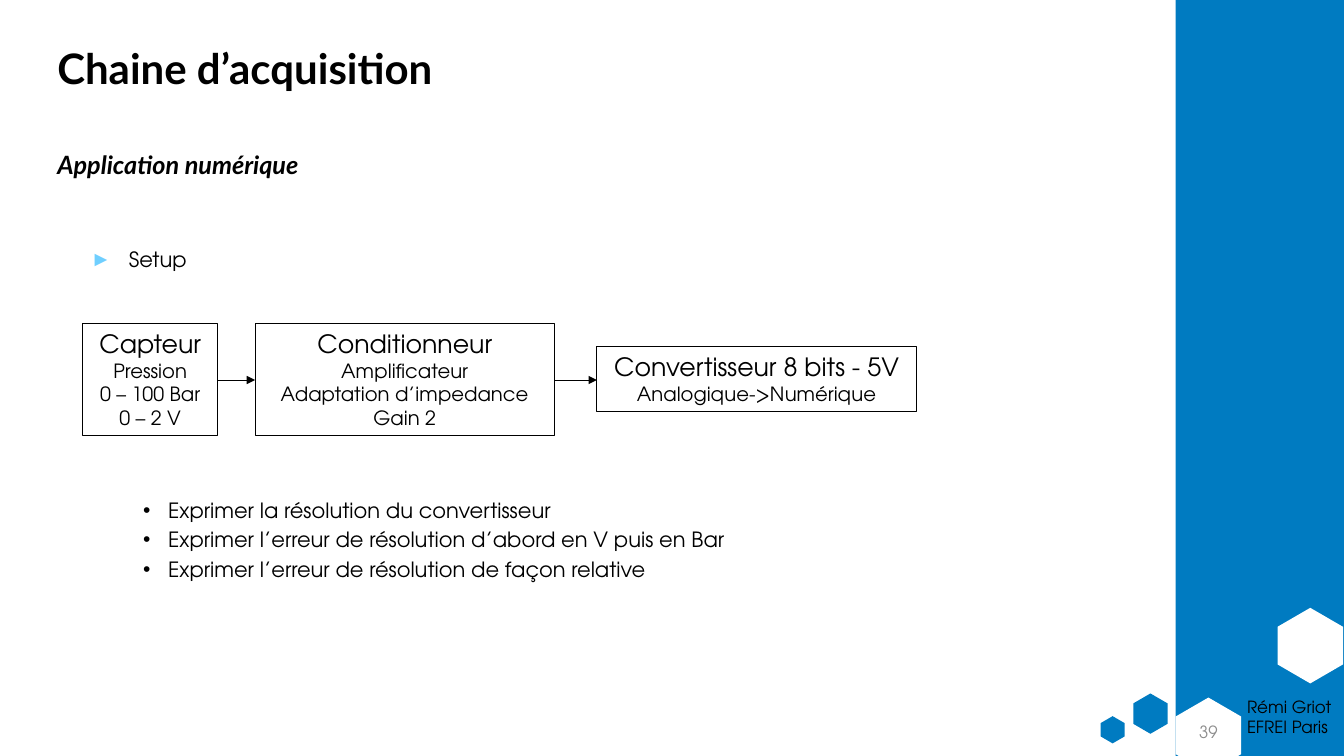
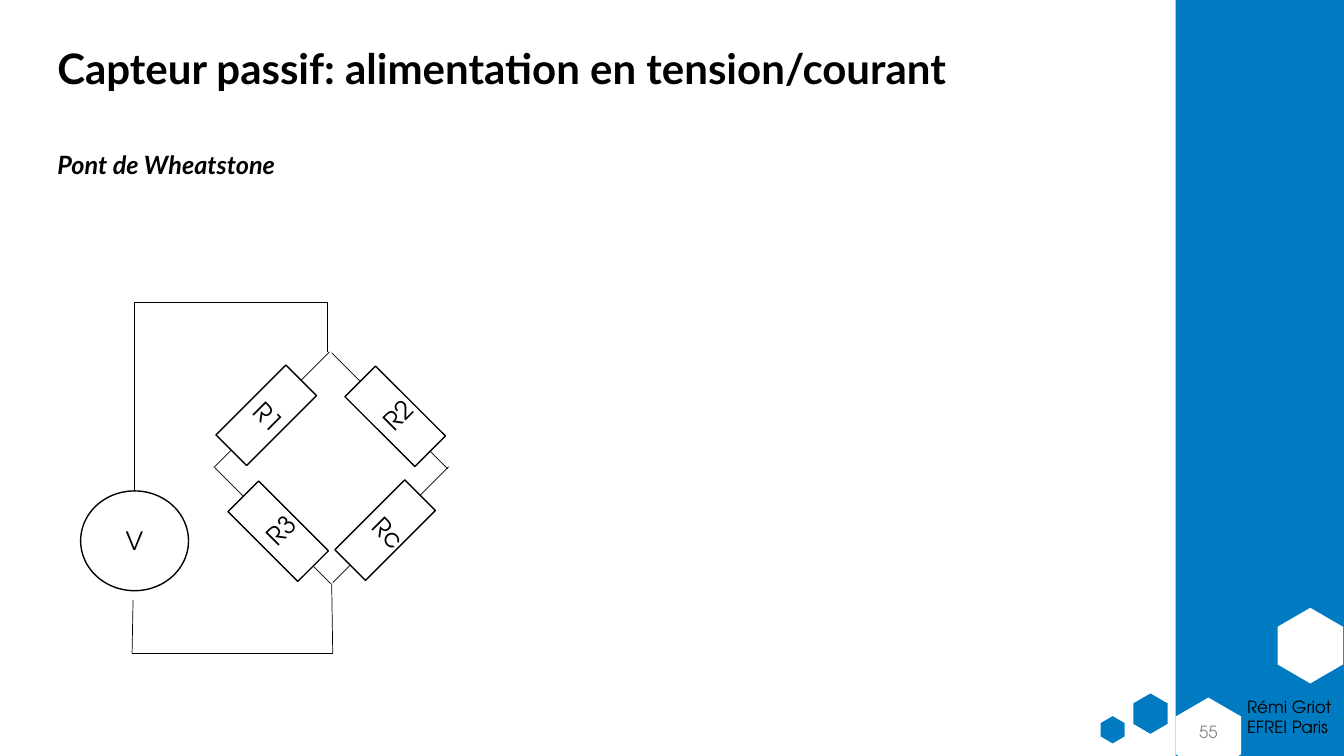
import lxml.etree
import pptx
import pptx.dml.color
import pptx.enum.shapes
import pptx.enum.text
import pptx.oxml.ns
import pptx.util

Inches = pptx.util.Inches
SHAPE = pptx.enum.shapes.MSO_SHAPE
ALIGN = pptx.enum.text.PP_ALIGN
ANCHOR = pptx.enum.text.MSO_ANCHOR
qn = pptx.oxml.ns.qn

BLUE, SKY, WHITE, BLACK, GREY = "007BC1", "6FCFFF", "FFFFFF", "000000", "8C8C8C"
HEADING, BODY = "Lato", "TeX Gyre Adventor"
HEXAGONS = [
    (12.62, 6.08, 0.75, 0.65, WHITE),
    (11.21, 6.91, 0.4, 0.34, BLUE),
    (10.9, 7.12, 0.27, 0.24, BLUE),
    (11.61, 6.97, 0.75, 0.65, WHITE),
]


def rgb(code):
    return pptx.dml.color.RGBColor.from_string(code)


class Deck:
    """Course slides sharing a blue side band, a title and a subtitle style."""

    def __init__(self):
        self.presentation = pptx.Presentation()
        self.presentation.slide_width = Inches(13.33)
        self.presentation.slide_height = Inches(7.5)
        self.slide = None

    def new_slide(self, title, subtitle, number):
        self.slide = self.presentation.slides.add_slide(self.presentation.slide_layouts[6])
        self.shape(SHAPE.RECTANGLE, (11.66, 0, 1.67, 7.5), fill=BLUE)
        for *place, colour in HEXAGONS:
            hexagon = self.shape(SHAPE.HEXAGON, place, fill=colour, rotation=90)
            hexagon.adjustments[0] = 0.29
        self.text((12.27, 6.86, 1.1, 0.5), ["Rémi Griot", "EFREI Paris"], 12)
        self.text((0.47, 0, 10.82, 1.41), [title], 30, anchor=ANCHOR.MIDDLE,
                  spacing={"line_spacing": 0.9}, name=HEADING, bold=True)
        self.text((11.66, 7.06, 0.65, 0.4), [number], 12, GREY, ANCHOR.MIDDLE,
                  {"alignment": ALIGN.CENTER})
        self.text((0.47, 1.47, 8.77, 0.4), [subtitle], 18,
                  spacing={"line_spacing": 0.9}, name=HEADING, bold=True, italic=True)

    def shape(self, preset, place, fill=None, line=None, width=1, rotation=0):
        shape = self.slide.shapes.add_shape(preset, *map(Inches, place))
        shape.shadow.inherit = False
        shape.rotation = rotation
        if fill:
            shape.fill.solid()
            shape.fill.fore_color.rgb = rgb(fill)
        else:
            shape.fill.background()
        if line:
            shape.line.color.rgb = rgb(line)
            shape.line.width = pptx.util.Pt(width)
        else:
            shape.line.fill.background()
        return shape

    def paragraph(self, frame, line, size, colour=BLACK, spacing=None, first=False, **style):
        paragraph = frame.paragraphs[0] if first else frame.add_paragraph()
        for key, value in (spacing or {}).items():
            setattr(paragraph, key, value)
        run = paragraph.add_run()
        run.text = line
        for key, value in {"name": BODY, "size": pptx.util.Pt(size), **style}.items():
            setattr(run.font, key, value)
        run.font.color.rgb = rgb(colour)
        return paragraph

    def text(self, place, lines, size, colour=BLACK, anchor=ANCHOR.TOP,
             spacing=None, rotation=0, **style):
        box = self.slide.shapes.add_textbox(*map(Inches, place))
        box.rotation = rotation
        frame = box.text_frame
        frame.word_wrap = True
        frame.vertical_anchor = anchor
        return [self.paragraph(frame, line, size, colour, spacing, index == 0, **style)
                for index, line in enumerate(lines)]

    def bullets(self, place, lines, mark, mark_colour, margin, hanging):
        paragraphs = self.text(place, lines, 15, spacing={"line_spacing": 0.9})
        for index, paragraph in enumerate(paragraphs):
            if index:
                paragraph.space_before = pptx.util.Pt(5)
            properties = paragraph._p.get_or_add_pPr()
            properties.set("marL", str(Inches(margin)))
            properties.set("indent", str(-Inches(hanging)))
            tint = lxml.etree.SubElement(properties, qn("a:buClr"))
            lxml.etree.SubElement(tint, qn("a:srgbClr"), val=mark_colour)
            lxml.etree.SubElement(properties, qn("a:buFont"), typeface="Arial")
            lxml.etree.SubElement(properties, qn("a:buChar"), char=mark)

    def block(self, place, heading, details):
        stage = self.shape(SHAPE.RECTANGLE, place, line=BLACK, width=0.75)
        frame = stage.text_frame
        frame.word_wrap = False
        frame.vertical_anchor = ANCHOR.TOP
        for index, line in enumerate([heading, *details]):
            self.paragraph(frame, line, 14 if index else 18,
                           spacing={"alignment": ALIGN.CENTER}, first=index == 0)

    def wire(self, start, end, arrow=False):
        wire = self.slide.shapes.add_connector(
            pptx.enum.shapes.MSO_CONNECTOR.STRAIGHT, *map(Inches, (*start, *end)))
        wire.line.color.rgb = rgb(BLACK)
        wire.line.width = pptx.util.Pt(0.5)
        properties = wire.element.spPr
        if arrow:
            lxml.etree.SubElement(properties.find(qn("a:ln")), qn("a:tailEnd"), type="triangle")
        lxml.etree.SubElement(properties, qn("a:effectLst"))

    def resistor(self, label, x, y, lean):
        angle = 45 if lean > 0 else 315
        self.shape(SHAPE.RECTANGLE, (x - 0.215, y - 0.49, 0.43, 0.98), WHITE, BLACK,
                   rotation=angle)
        self.text((x - 0.24, y - 0.2 + 0.07 * lean, 0.64, 0.4), [label], 18, rotation=angle)
        for outer, inner in ((0.63, 0.35), (-0.52, -0.35)):
            self.wire((x + lean * outer, y - outer), (x + lean * inner, y - inner))

    def source(self, place, label):
        generator = self.shape(SHAPE.OVAL, place, WHITE, BLACK)
        generator.text_frame.vertical_anchor = ANCHOR.MIDDLE
        self.paragraph(generator.text_frame, label, 18,
                       spacing={"alignment": ALIGN.CENTER}, first=True)


def main():
    deck = Deck()

    deck.new_slide("Chaine d’acquisition", "Application numérique", "39")
    deck.bullets((0.8, 2.42, 6.68, 0.51), ["Setup"], "►", SKY, 0.38, 0.38)
    stages = [
        ((0.82, 3.21, 1.34, 1.11), "Capteur", ["Pression", "0 – 100 Bar", "0 – 2 V"]),
        ((2.53, 3.21, 2.97, 1.11), "Conditionneur",
         ["Amplificateur", "Adaptation d’impedance", "Gain 2"]),
        ((5.92, 3.44, 3.17, 0.64), "Convertisseur 8 bits - 5V", ["Analogique->Numérique"]),
    ]
    for stage in stages:
        deck.block(*stage)
    for (before, *_), (after, *_) in zip(stages, stages[1:]):
        deck.wire((before[0] + before[2], 3.77), (after[0], 3.77), arrow=True)
    deck.bullets((0.82, 4.91, 6.68, 1.92), [
        "Exprimer la résolution du convertisseur",
        "Exprimer l’erreur de résolution d’abord en V puis en Bar",
        "Exprimer l’erreur de résolution de façon relative",
    ], "•", BLACK, 0.75, 0.25)

    deck.new_slide("Capteur passif: alimentation en tension/courant", "Pont de Wheatstone", "55")
    deck.source((0.8, 4.87, 1.07, 0.99), "V")
    supply = [(1.33, 4.87), (1.33, 3), (3.25, 3), (3.25, 3.49)]
    ground = [(1.32, 5.95), (1.31, 6.48), (3.3, 6.48), (3.29, 5.79)]
    for circuit in (supply, ground):
        for start, end in zip(circuit, circuit[1:]):
            deck.wire(start, end)
    for label, x, y, lean in (("R2", 3.92, 4.13, -1), ("R1", 2.64, 4.12, 1),
                              ("Rc", 3.82, 5.26, 1), ("R3", 2.76, 5.27, -1)):
        deck.resistor(label, x, y, lean)

    deck.presentation.save("out.pptx")


if __name__ == "__main__":
    main()
